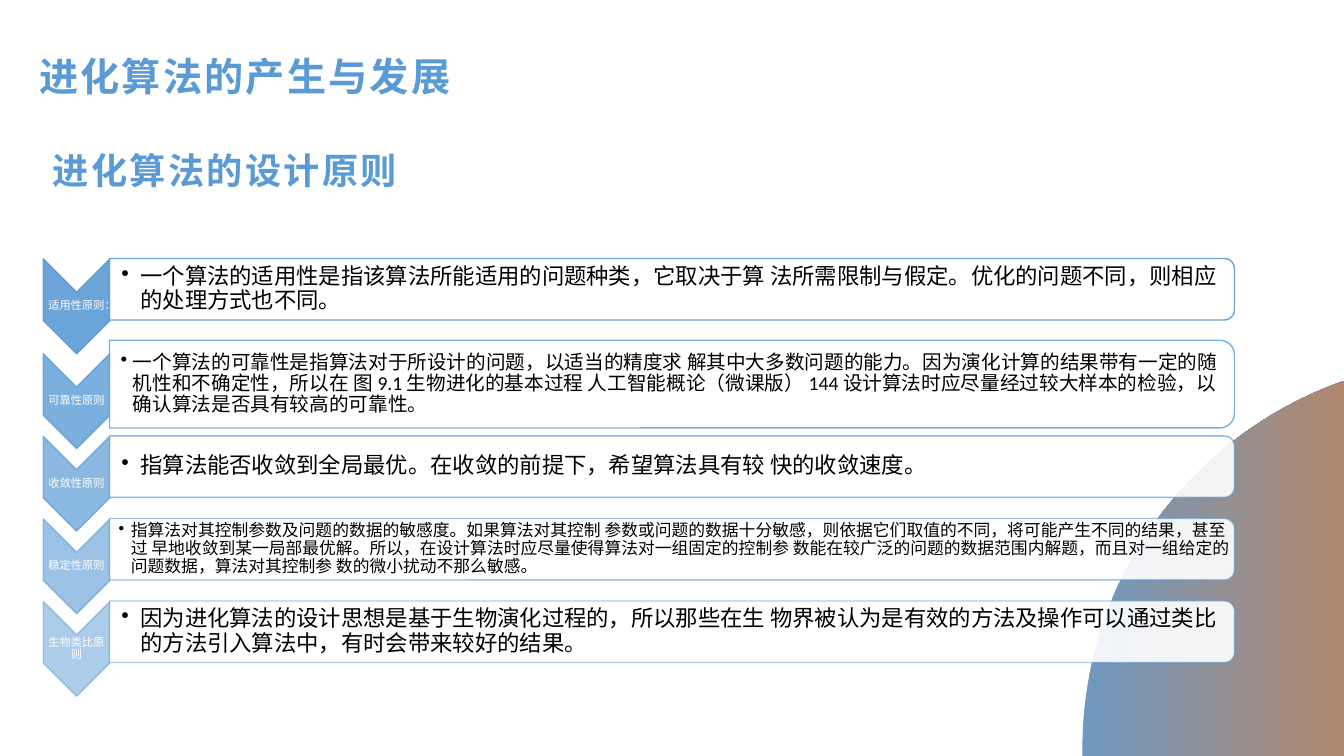
from dataclasses import dataclass

from lxml.etree import SubElement
from pptx import Presentation
from pptx.dml.color import RGBColor
from pptx.enum.shapes import MSO_SHAPE
from pptx.enum.text import MSO_ANCHOR, MSO_AUTO_SIZE, PP_ALIGN
from pptx.oxml.ns import qn
from pptx.util import Cm, Pt


@dataclass(frozen=True)
class Theme:
    blue: str = "5B9BD5"
    white: str = "FFFFFF"
    black: str = "000000"
    arc_left: str = "7098C0"
    arc_right: str = "B0886E"
    latin: str = "Calibri"
    cjk: str = "Noto Sans CJK SC"
    title: float = 28
    subtitle: float = 25.9
    label: float = 8
    spacing: float = 1.6


WIDTH, HEIGHT = 33.87, 19.05
LABEL_LEFT, LABEL_WIDTH = 1.09, 1.68
BAR_LEFT, BAR_WIDTH, BAR_HEIGHT = 2.76, 28.35, 1.55
CHEVRON_LENGTH, CHEVRON_DROP = 2.39, 0.43
FIRST_ROW, SECOND_ROW, ROW_PITCH = 7.29, 9.68, 2.08

ARC = [
    [(27.38, 20.29), (26.95, 17.35), (27.86, 14.22), (30.15, 11.94)],
    [(30.15, 11.94), (31.24, 10.85), (32.51, 10.08), (WIDTH, 9.6)],
]

PRINCIPLES = [
    ("适用性原则：", 16, BAR_HEIGHT, 0.3, 0.48,
     "一个算法的适用性是指该算法所能适用的问题种类，它取决于算 法所需限制与假定。"
     "优化的问题不同，则相应的处理方式也不同。"),
    ("可靠性原则", 14, 2.21, 0.28, 0.31,
     "一个算法的可靠性是指算法对于所设计的问题，以适当的精度求 解其中大多数问题的能力。"
     "因为演化计算的结果带有一定的随机性和不确定性，所以在 图 9.1 生物进化的基本过程 "
     "人工智能概论（微课版） 144 设计算法时应尽量经过较大样本的检验，"
     "以确认算法是否具有较高的可靠性。"),
    ("收敛性原则", 16, BAR_HEIGHT, 0.3, 0.48,
     "指算法能否收敛到全局最优。在收敛的前提下，希望算法具有较 快的收敛速度。"),
    ("稳定性原则", 12, BAR_HEIGHT, 0.23, 0.31,
     "指算法对其控制参数及问题的数据的敏感度。如果算法对其控制 参数或问题的数据十分敏感，"
     "则依据它们取值的不同，将可能产生不同的结果，甚至过 早地收敛到某一局部最优解。"
     "所以，在设计算法时应尽量使得算法对一组固定的控制参 数能在较广泛的问题的数据范围内解题，"
     "而且对一组给定的问题数据，算法对其控制参 数的微小扰动不那么敏感。"),
    ("生物类比原则", 16, BAR_HEIGHT, 0.3, 0.48,
     "因为进化算法的设计思想是基于生物演化过程的，所以那些在生 物界被认为是有效的方法及操作"
     "可以通过类比的方法引入算法中，有时会带来较好的结果。"),
]


def bezier(points, t):
    weights = ((1 - t) ** 3, 3 * t * (1 - t) ** 2, 3 * t ** 2 * (1 - t), t ** 3)
    return tuple(sum(w * p[axis] for w, p in zip(weights, points)) for axis in (0, 1))


class SlideBuilder:
    """Draws styled elements on the current slide."""

    def __init__(self, slide, theme):
        self.slide = slide
        self.theme = theme

    def set_text(self, sp, text, size, color, insets, latin=None, bold=False,
                 anchor=MSO_ANCHOR.MIDDLE, align=PP_ALIGN.LEFT, leading=0.9,
                 spacing=0, bullet_indent=0):
        tf = sp.text_frame
        tf.word_wrap = True
        tf.auto_size = MSO_AUTO_SIZE.NONE
        tf.vertical_anchor = anchor
        tf.margin_left, tf.margin_top, tf.margin_right, tf.margin_bottom = map(Cm, insets)
        tf.text = text
        p = tf.paragraphs[0]
        p.alignment = align
        p.line_spacing = leading
        if bullet_indent:
            pPr = p._p.get_or_add_pPr()
            pPr.set("marL", str(Cm(bullet_indent)))
            pPr.set("indent", str(-Cm(bullet_indent)))
            SubElement(pPr, qn("a:buChar")).set("char", "•")
        r = p.runs[0]
        r.font.size = Pt(size)
        r.font.bold = bold
        r.font.color.rgb = RGBColor.from_string(color)
        r.font.name = latin or self.theme.latin
        rPr = r._r.get_or_add_rPr()
        SubElement(rPr, qn("a:ea")).set("typeface", self.theme.cjk)
        if spacing:
            rPr.set("spc", str(round(spacing * 100)))

    def title(self, text, left, top, width, height):
        sp = self.slide.shapes.title
        sp.left, sp.top, sp.width, sp.height = map(Cm, (left, top, width, height))
        self.set_text(sp, text, self.theme.title, self.theme.blue, (0.18, 0.08, 0.18, 0.08),
                      latin=self.theme.cjk, bold=True, leading=1.0, spacing=self.theme.spacing)

    def text(self, text, left, top, width, height, size, color, insets, **style):
        sp = self.slide.shapes.add_textbox(*map(Cm, (left, top, width, height)))
        self.set_text(sp, text, size, color, insets, **style)

    def turned_shape(self, kind, center_x, center_y, length, breadth,
                     fill, fill_alpha, line_alpha):
        sp = self.slide.shapes.add_shape(
            kind, Cm(center_x - length / 2), Cm(center_y - breadth / 2),
            Cm(length), Cm(breadth))
        sp.rotation = 90
        sp.shadow.inherit = False
        sp.fill.solid()
        sp.fill.fore_color.rgb = RGBColor.from_string(fill)
        sp.line.color.rgb = RGBColor.from_string(self.theme.blue)
        sp.line.width = Pt(1)
        for clr, alpha in zip(sp._element.spPr.iter(qn("a:srgbClr")), (fill_alpha, line_alpha)):
            SubElement(clr, qn("a:alpha")).set("val", str(alpha * 1000))

    def arc(self, curves, steps=40):
        edge = [bezier(curve, i / steps) for curve in curves for i in range(steps + 1)]
        edge = [point for point in edge if point[1] <= HEIGHT]
        outline = [(edge[0][0], HEIGHT), *edge, (WIDTH, HEIGHT)]
        points = [(Cm(x), Cm(y)) for x, y in outline]
        builder = self.slide.shapes.build_freeform(*points[0])
        builder.add_line_segments(points[1:], close=True)
        sp = builder.convert_to_shape()
        sp.shadow.inherit = False
        sp.line.fill.background()
        sp.fill.gradient()
        sp.fill.gradient_angle = 0
        for stop, color in zip(sp.fill.gradient_stops, (self.theme.arc_left, self.theme.arc_right)):
            stop.color.rgb = RGBColor.from_string(color)

    def principle(self, center, alpha, label, size, height, inset, indent, text):
        theme = self.theme
        chevron_center = center + CHEVRON_DROP
        self.turned_shape(MSO_SHAPE.CHEVRON, LABEL_LEFT + LABEL_WIDTH / 2, chevron_center,
                          CHEVRON_LENGTH, LABEL_WIDTH, theme.blue, alpha, alpha)
        self.text(label, LABEL_LEFT, chevron_center - 0.36, LABEL_WIDTH, 0.72, theme.label,
                  theme.white, (0.01, 0.01, 0.01, 0.01), align=PP_ALIGN.CENTER)
        self.turned_shape(MSO_SHAPE.ROUND_2_SAME_RECTANGLE, BAR_LEFT + BAR_WIDTH / 2, center,
                          height, BAR_WIDTH, theme.white, 90, alpha)
        self.text(text, BAR_LEFT, center - height / 2 + 0.08, BAR_WIDTH - 0.08, height - 0.16,
                  size, theme.black, (inset, 0.02, 0.02, 0.02), bullet_indent=indent)


def main():
    prs = Presentation()
    prs.slide_width, prs.slide_height = Cm(WIDTH), Cm(HEIGHT)
    theme = Theme()
    s = SlideBuilder(prs.slides.add_slide(prs.slide_layouts[5]), theme)
    s.arc(ARC)
    s.title("进化算法的产生与发展", 0.81, 1.17, 13.64, 1.5)
    s.text("进化算法的设计原则", 1.08, 3.05, 9.88, 1.78, theme.subtitle, theme.blue,
           (0.25, 0.13, 0.25, 0.13), bold=True, anchor=MSO_ANCHOR.TOP, leading=1.5,
           spacing=theme.spacing)
    for i, row in enumerate(PRINCIPLES):
        center = SECOND_ROW + (i - 1) * ROW_PITCH if i else FIRST_ROW
        s.principle(center, 90 - 10 * i, *row)
    prs.save("out.pptx")


if __name__ == "__main__":
    main()
